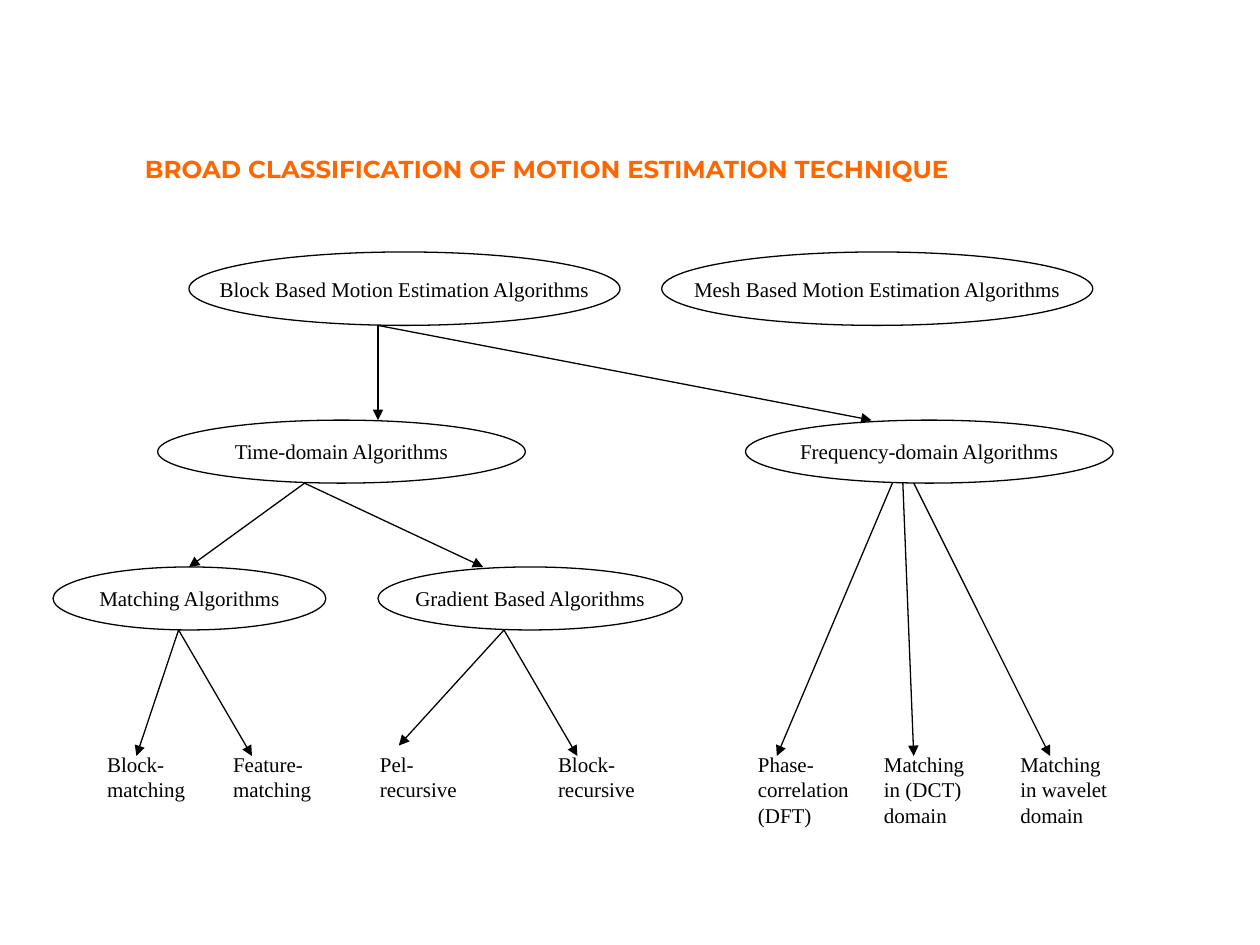
from lxml.etree import SubElement as Sub
from pptx import Presentation
from pptx.dml.color import RGBColor as RGB
from pptx.enum.shapes import MSO_CONNECTOR as LINK, MSO_SHAPE as SHAPE
from pptx.enum.text import MSO_ANCHOR as ANCHOR, MSO_AUTO_SIZE as FIT, PP_ALIGN as ALIGN
from pptx.oxml.ns import qn
from pptx.util import Cm, Pt

BLACK = RGB.from_string("000000")
THEME = {
    "title": {"name": "Montserrat", "size": Pt(14), "bold": True,
              "color": RGB.from_string("FF6600")},
    "body": {"name": "Times New Roman", "size": Pt(12), "color": BLACK},
    "line": {"color": BLACK, "width": Pt(0.75)},
}


def write(shape, text, style, align, **frame):
    """Put one styled paragraph in a shape."""
    box = shape.text_frame
    for key, value in frame.items():
        setattr(box, key, value)
    para = box.paragraphs[0]
    para.alignment = align
    run = para.add_run()
    run.text = text
    for key, value in THEME[style].items():
        if key == "color":
            run.font.color.rgb = value
        else:
            setattr(run.font, key, value)


def ink(line):
    line.color.rgb = THEME["line"]["color"]
    line.width = THEME["line"]["width"]


deck = Presentation()
deck.slide_width, deck.slide_height = Cm(25.4), Cm(19.05)
slide = deck.slides.add_slide(deck.slide_layouts[5])
shapes = slide.shapes

# Title
title = shapes.title
place = {"left": Cm(1.12), "top": Cm(0.64), "width": Cm(21.59), "height": Cm(3.18)}
for key, value in place.items():
    setattr(title, key, value)
write(title, "BROAD CLASSIFICATION OF MOTION ESTIMATION TECHNIQUE", "title", ALIGN.LEFT,
      vertical_anchor=ANCHOR.BOTTOM, auto_size=FIT.NONE, word_wrap=True,
      margin_left=Cm(1.8))

# Classes: top and height of each row, then left, width and text
rows = [
    (5.08, 1.48, [(3.81, 8.69, "Block Based Motion Estimation Algorithms"),
                  (13.34, 8.69, "Mesh Based Motion Estimation Algorithms")]),
    (8.47, 1.27, [(3.18, 7.41, "Time-domain Algorithms"),
                  (15.03, 7.41, "Frequency-domain Algorithms")]),
    (11.43, 1.27, [(1.07, 5.5, "Matching Algorithms"),
                   (7.62, 6.14, "Gradient Based Algorithms")]),
]
for top, high, nodes in rows:
    for left, wide, text in nodes:
        oval = shapes.add_shape(SHAPE.OVAL, Cm(left), Cm(top), Cm(wide), Cm(high))
        oval.shadow.inherit = False
        oval.fill.background()
        ink(oval.line)
        write(oval, text, "body", ALIGN.CENTER,
              vertical_anchor=ANCHOR.MIDDLE, word_wrap=False)

# Methods at the foot of the tree
leaves = [
    (1.91, 1.27, "Block-matching"),
    (4.45, 1.27, "Feature-matching"),
    (7.41, 1.27, "Pel-recursive"),
    (11, 1.27, "Block-recursive"),
    (15.03, 1.78, "Phase-correlation (DFT)"),
    (17.57, 1.78, "Matching in (DCT) domain"),
    (20.32, 1.78, "Matching in wavelet domain"),
]
for left, high, text in leaves:
    label = shapes.add_textbox(Cm(left), Cm(15.03), Cm(2.54), Cm(high))
    write(label, text, "body", ALIGN.LEFT,
          word_wrap=True, auto_size=FIT.SHAPE_TO_FIT_TEXT)

# Arrows: start point, then the end points it leads to
links = [
    (7.62, 6.56, [(7.62, 8.47), (17.57, 8.47)]),
    (6.14, 9.74, [(3.81, 11.43), (9.74, 11.43)]),
    (3.6, 12.7, [(2.75, 15.24), (5.08, 15.24)]),
    (10.16, 12.7, [(8.04, 15.03), (11.64, 15.24)]),
    (17.99, 9.74, [(15.66, 15.24)]),
    (18.2, 9.74, [(18.42, 15.24)]),
    (18.42, 9.74, [(21.17, 15.24)]),
]
for x, y, ends in links:
    for far, low in ends:
        arrow = shapes.add_connector(LINK.STRAIGHT, Cm(x), Cm(y), Cm(far), Cm(low))
        ink(arrow.line)
        Sub(arrow.line._get_or_add_ln(), qn("a:tailEnd"), type="triangle")
        Sub(arrow._element.spPr, qn("a:effectLst"))

deck.save("out.pptx")
